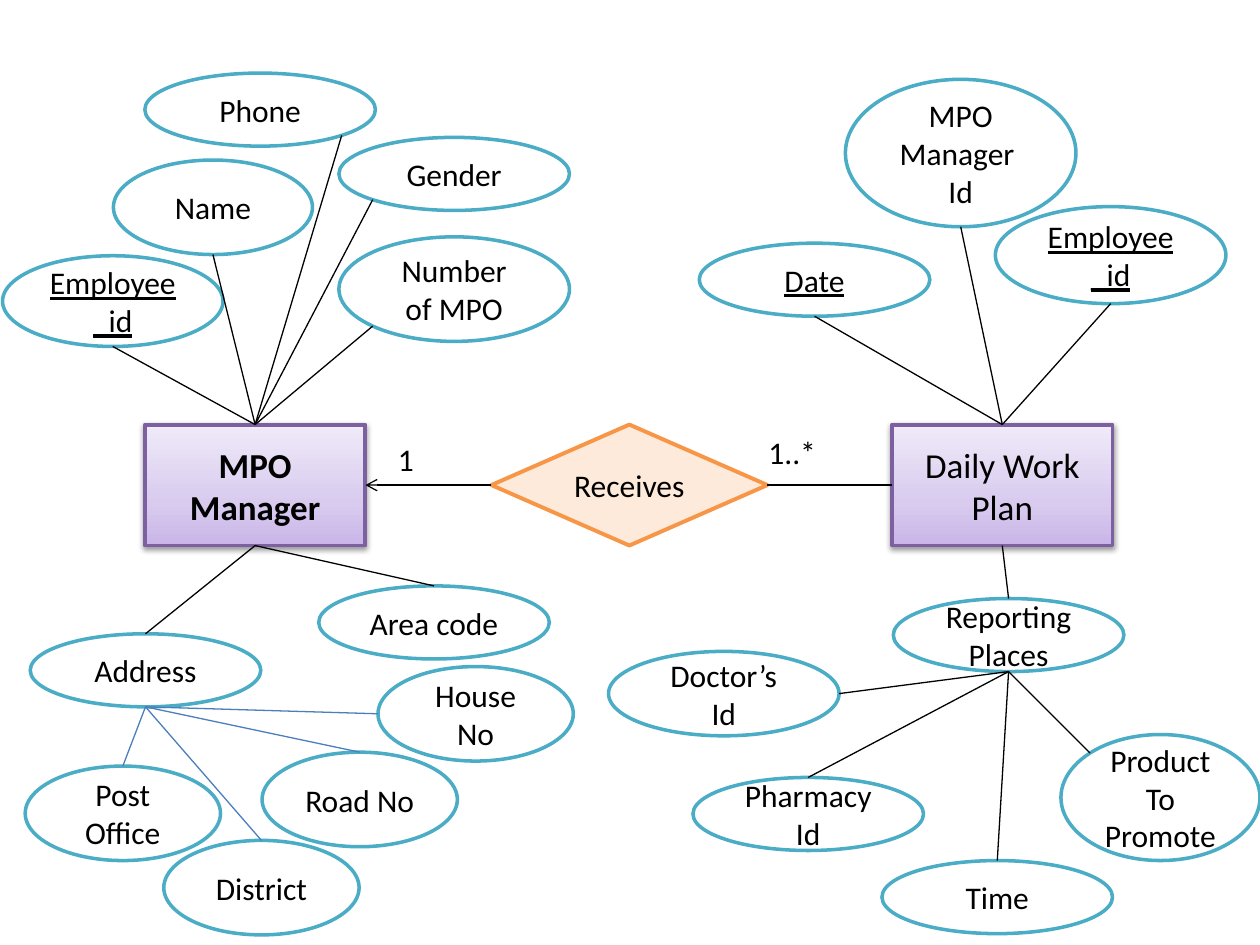
from math import cos, sin, pi
from lxml.etree import SubElement
from pptx import Presentation
from pptx.dml.color import RGBColor
from pptx.enum.shapes import MSO_CONNECTOR, MSO_SHAPE
from pptx.enum.text import MSO_ANCHOR, PP_ALIGN
from pptx.oxml import parse_xml
from pptx.oxml.ns import nsdecls, qn
from pptx.util import Inches, Pt

THEME = {
    "font": "Calibri", "text": "000000", "white": "FFFFFF", "sub_link": "4B7EBC",
    "attribute_line": "4BACC6", "entity_line": "7D60A0",
    "relation_fill": "FDEADA", "relation_line": "F79646",
    "gradient": [(0, "C9B5E8"), (35, "D8CBEE"), (100, "F0EAF9")],
    "entity_size": 20, "body_size": 18, "thin": 0.75, "medium": 2, "thick": 2.25,
}

deck = Presentation()
deck.slide_width, deck.slide_height = Inches(10), Inches(7.5)
page = deck.slides.add_slide(deck.slide_layouts[6])


def add_node(kind, place, text, fill, line, width, size=THEME["body_size"], **font):
    box = page.shapes.add_shape(kind, *map(Inches, place))
    box.shadow.inherit = False
    box.fill.solid()
    box.fill.fore_color.rgb = RGBColor.from_string(fill)
    box.line.color.rgb = RGBColor.from_string(line)
    box.line.width = Pt(width)
    box.text_frame.word_wrap = True
    box.text_frame.vertical_anchor = MSO_ANCHOR.MIDDLE
    para = box.text_frame.paragraphs[0]
    para.alignment = PP_ALIGN.CENTER
    span = para.add_run()
    span.text = text
    span.font.color.rgb = RGBColor.from_string(THEME["text"])
    for name, value in {"name": THEME["font"], "size": Pt(size), **font}.items():
        setattr(span.font, name, value)
    return box


def add_link(start, start_site, end, end_site, color=THEME["text"]):
    points = []
    for box, site in ((start, start_site), (end, end_site)):
        # Sites run counter-clockwise from the top: eight on ovals, four elsewhere
        count = 8 if box.auto_shape_type == MSO_SHAPE.OVAL else 4
        angle = 2 * pi * site / count
        points += [round(box.left + box.width * (1 - sin(angle)) / 2),
                   round(box.top + box.height * (1 - cos(angle)) / 2)]
    link = page.shapes.add_connector(MSO_CONNECTOR.STRAIGHT, *points)
    link.line.color.rgb = RGBColor.from_string(color)
    link.line.width = Pt(THEME["thin"])
    SubElement(link._element.spPr, qn("a:effectLst"))
    glue = link._element.nvCxnSpPr.cNvCxnSpPr
    for tag, box, site in (("a:stCxn", start, start_site), ("a:endCxn", end, end_site)):
        SubElement(glue, qn(tag), id=str(box.shape_id), idx=str(site))
    return link


# Entities and the relationship between them
nodes = {}
for name, left, bold in (("MPO Manager", 1.15, True), ("Daily Work Plan", 7.08, False)):
    box = add_node(MSO_SHAPE.RECTANGLE, (left, 3.37, 1.75, 0.96), name, THEME["white"],
                   THEME["entity_line"], THEME["thick"], THEME["entity_size"], bold=bold)
    stops = "".join(f'<a:gs pos="{pos * 1000}"><a:srgbClr val="{color}"/></a:gs>'
                    for pos, color in THEME["gradient"])
    properties = box._element.spPr
    properties.replace(properties.find(qn("a:solidFill")), parse_xml(
        f'<a:gradFill {nsdecls("a")} rotWithShape="1"><a:gsLst>{stops}</a:gsLst>'
        '<a:lin ang="16200000" scaled="0"/></a:gradFill>'))
    properties.replace(properties.find(qn("a:effectLst")), parse_xml(
        f'<a:effectLst {nsdecls("a")}><a:outerShdw blurRad="40000" dist="20000" '
        'dir="5400000" rotWithShape="0"><a:srgbClr val="000000"><a:alpha val="38000"/>'
        '</a:srgbClr></a:outerShdw></a:effectLst>'))
    nodes[name] = box
manager, plan = nodes.values()
receives = add_node(MSO_SHAPE.FLOWCHART_DECISION, (3.9, 3.37, 2.19, 0.96), "Receives ",
                    THEME["relation_fill"], THEME["relation_line"], THEME["thick"])

# Attributes: text, place, own link site, owner's link site, underlined key
TOP, UPPER_LEFT, LEFT, LOWER_LEFT, BOTTOM, LOWER_RIGHT, RIGHT = range(7)
ENTITY_BOTTOM = 2
groups = [
    ("MPO Manager", THEME["text"], [
        ("Name", (0.9, 1.27, 1.58, 0.75), BOTTOM, TOP, False),
        ("Gender", (2.69, 1.09, 1.83, 0.58), LOWER_LEFT, TOP, False),
        ("Phone", (1.15, 0.58, 1.83, 0.58), LOWER_RIGHT, TOP, False),
        ("Employee _id", (0.02, 2.03, 1.75, 0.72), BOTTOM, TOP, True),
        ("Number of MPO", (2.69, 1.88, 1.83, 0.83), LOWER_LEFT, TOP, False),
        ("Area code", (2.53, 4.65, 1.83, 0.58), TOP, ENTITY_BOTTOM, False),
        ("Address", (0.24, 5.03, 1.83, 0.58), TOP, ENTITY_BOTTOM, False)]),
    ("Daily Work Plan", THEME["text"], [
        ("MPO Manager  Id", (6.71, 0.63, 1.83, 1.17), BOTTOM, TOP, False),
        ("Employee_id", (7.9, 1.64, 1.83, 0.77), BOTTOM, TOP, True),
        ("Date", (5.55, 1.93, 1.83, 0.58), BOTTOM, TOP, True),
        ("Reporting Places", (7.09, 4.75, 1.83, 0.58), TOP, ENTITY_BOTTOM, False)]),
    ("Reporting Places", THEME["text"], [
        ("Time", (7, 6.83, 1.83, 0.58), TOP, BOTTOM, False),
        ("Pharmacy Id", (5.5, 6.17, 1.83, 0.58), TOP, BOTTOM, False),
        ("Doctor’s Id", (4.83, 5.17, 1.83, 0.67), RIGHT, BOTTOM, False),
        ("Product To Promote", (8.42, 5.83, 1.58, 1), UPPER_LEFT, BOTTOM, False)]),
    ("Address", THEME["sub_link"], [
        ("House No", (3, 5.29, 1.55, 0.75), LEFT, BOTTOM, False),
        ("Road No", (2.08, 5.97, 1.55, 0.75), TOP, BOTTOM, False),
        ("District", (1.3, 6.67, 1.55, 0.75), TOP, BOTTOM, False),
        ("Post Office", (0.2, 6.08, 1.55, 0.75), TOP, BOTTOM, False)]),
]
links = []
for owner, color, members in groups:
    for text, place, site, owner_site, key in members:
        nodes[text] = add_node(MSO_SHAPE.OVAL, place, text, THEME["white"],
                               THEME["attribute_line"], THEME["medium"], underline=key)
        links.append((nodes[text], site, nodes[owner], owner_site, color))

# Links lie above every attribute
for link in links:
    add_link(*link)
arrow = add_link(receives, 1, manager, 3)
SubElement(arrow.line._get_or_add_ln(), qn("a:tailEnd"), type="arrow")
add_link(receives, 3, plan, 1)

# Cardinalities
for text, left, top in (("1", 3.06, 3.44), ("1..*", 6, 3.39)):
    box = page.shapes.add_textbox(*map(Inches, (left, top, 0.67, 0.4)))
    box.text_frame.word_wrap = True
    span = box.text_frame.paragraphs[0].add_run()
    span.text = text
    span.font.name = THEME["font"]
    span.font.size = Pt(THEME["body_size"])
    span.font.color.rgb = RGBColor.from_string(THEME["text"])

deck.save("out.pptx")
